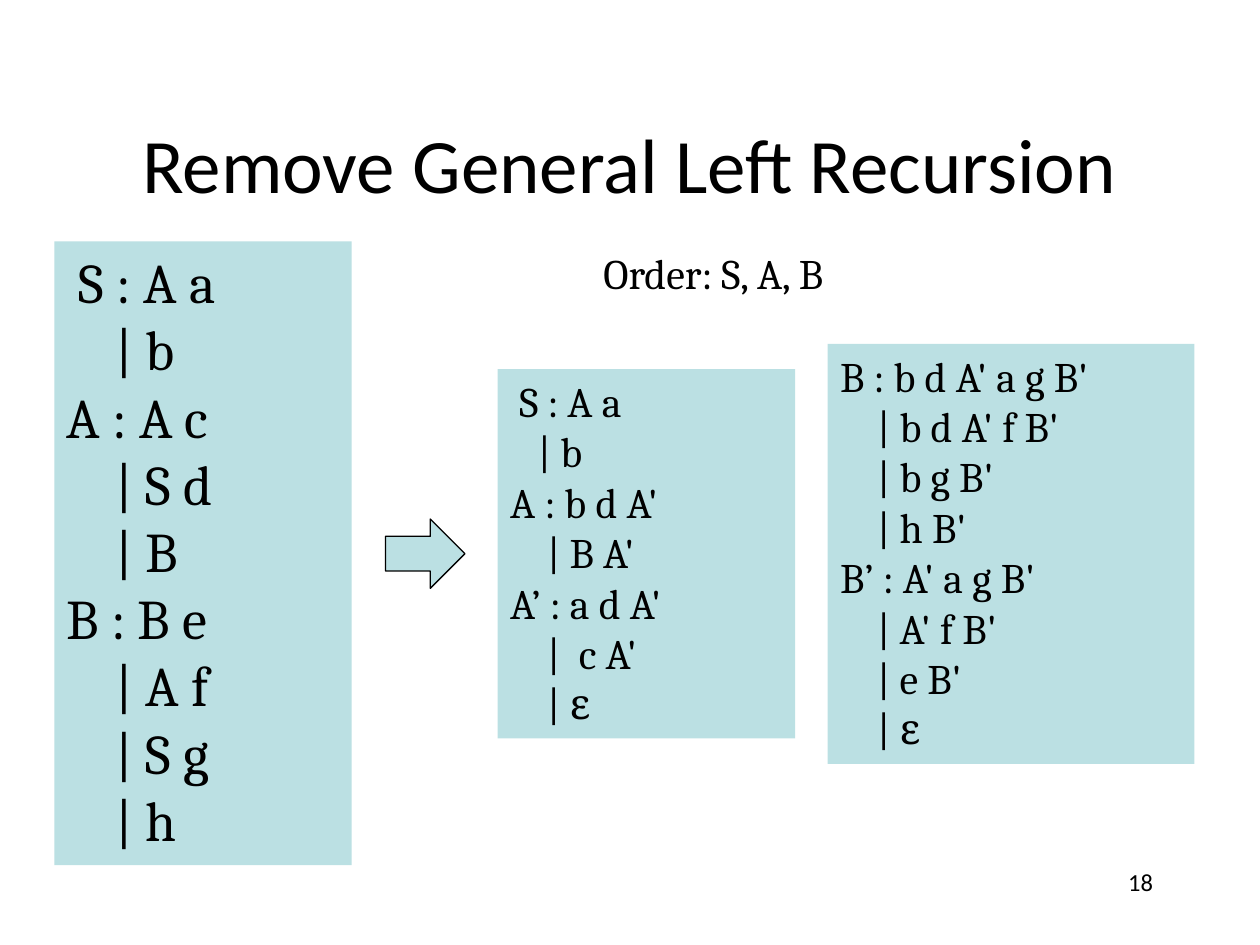
from pptx import Presentation
from pptx.dml.color import RGBColor
from pptx.enum.shapes import MSO_SHAPE
from pptx.enum.text import MSO_ANCHOR, MSO_AUTO_SIZE, PP_ALIGN
from pptx.util import Pt

BLACK = "000000"
PALE_TEAL = "BBE0E3"
HEADING_FONT = "Calibri"
GRAMMAR_FONT = "Cambria"

SOURCE_GRAMMAR = """\
 S : A a
    | b
A : A c
    | S d
    | B
B : B e
    | A f
    | S g
    | h"""

RESULT_S_AND_A = """\
 S : A a
   | b
A : b d A'
    | B A'
A’ : a d A'
    |  c A'
    | ε"""

RESULT_B = """\
B : b d A' a g B'
    | b d A' f B'
    | b g B'
    | h B'
B’ : A' a g B'
    | A' f B'
    | e B'
    | ε"""


def color(hex_string):
    return RGBColor.from_string(hex_string)


def write(shape, text, size, font, align=PP_ALIGN.LEFT, anchor=MSO_ANCHOR.TOP):
    """Fill a shape with one paragraph per line of text."""
    frame = shape.text_frame
    frame.word_wrap = True
    frame.vertical_anchor = anchor
    frame.text = text
    for paragraph in frame.paragraphs:
        paragraph.alignment = align
        paragraph.font.size = Pt(size)
        paragraph.font.name = font
        paragraph.font.color.rgb = color(BLACK)


def add_label(slide, box, text, size, font, **placement):
    label = slide.shapes.add_textbox(*map(Pt, box))
    write(label, text, size, font, **placement)


def add_filled(slide, preset, box):
    shape = slide.shapes.add_shape(preset, *map(Pt, box))
    shape.shadow.inherit = False
    shape.fill.solid()
    shape.fill.fore_color.rgb = color(PALE_TEAL)
    return shape


def add_grammar(slide, box, rules, size):
    panel = add_filled(slide, MSO_SHAPE.RECTANGLE, box)
    panel.line.fill.background()
    write(panel, rules, size, GRAMMAR_FONT)
    panel.text_frame.auto_size = MSO_AUTO_SIZE.SHAPE_TO_FIT_TEXT


def add_arrow(slide, box):
    arrow = add_filled(slide, MSO_SHAPE.RIGHT_ARROW, box)
    arrow.line.color.rgb = color(BLACK)
    arrow.line.width = Pt(0.75)


def main():
    presentation = Presentation()
    presentation.slide_width = Pt(720)
    presentation.slide_height = Pt(540)
    slide = presentation.slides.add_slide(presentation.slide_layouts[6])

    add_label(slide, (54, 48, 612, 90), "Remove General Left Recursion", 44,
              HEADING_FONT, align=PP_ALIGN.CENTER, anchor=MSO_ANCHOR.MIDDLE)
    add_label(slide, (516, 492, 150, 36), "18", 14, HEADING_FONT,
              align=PP_ALIGN.RIGHT)
    add_grammar(slide, (31, 138, 170, 356.4), SOURCE_GRAMMAR, 32)
    add_grammar(slide, (284.4, 211, 170, 211), RESULT_S_AND_A, 24)
    add_grammar(slide, (473, 196.5, 209.5, 240), RESULT_B, 24)
    add_arrow(slide, (220.3, 296.6, 45.4, 39.6))
    add_label(slide, (337.7, 138, 193, 36), "Order: S, A, B", 24, GRAMMAR_FONT)

    presentation.save("out.pptx")


if __name__ == "__main__":
    main()
